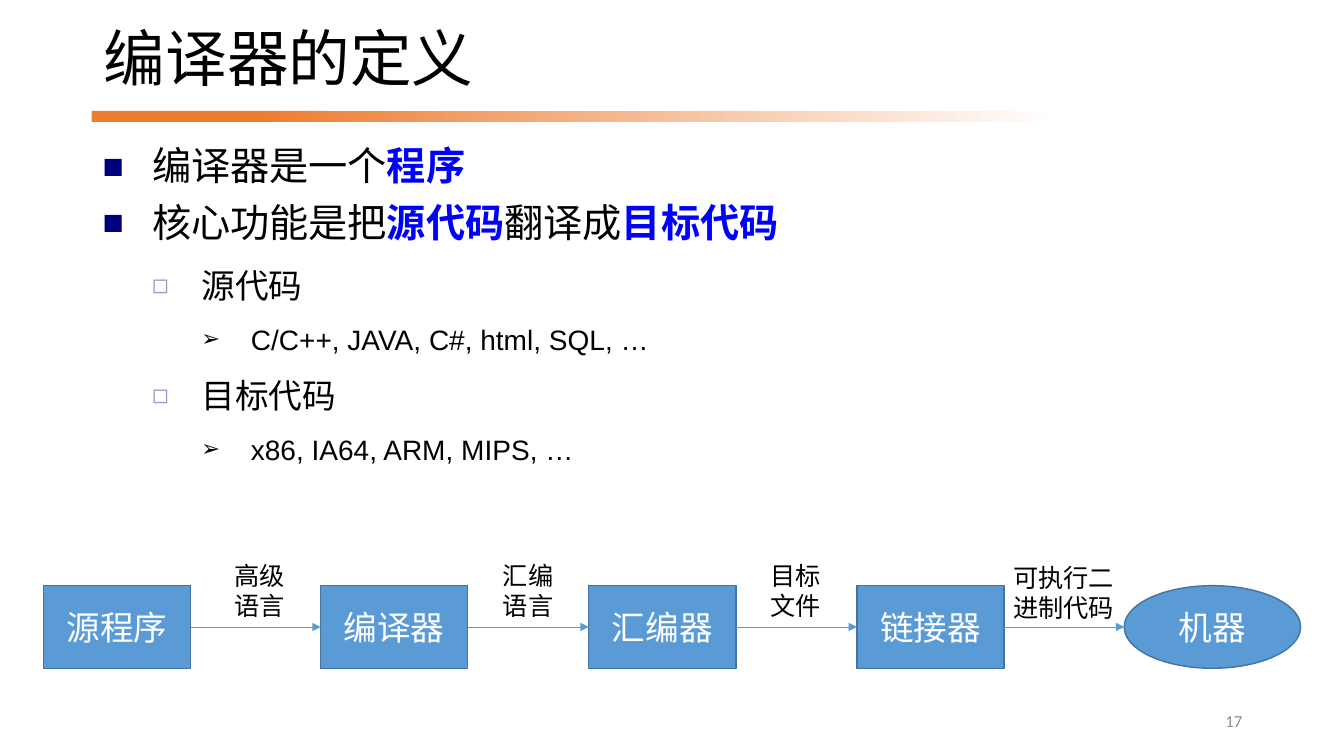
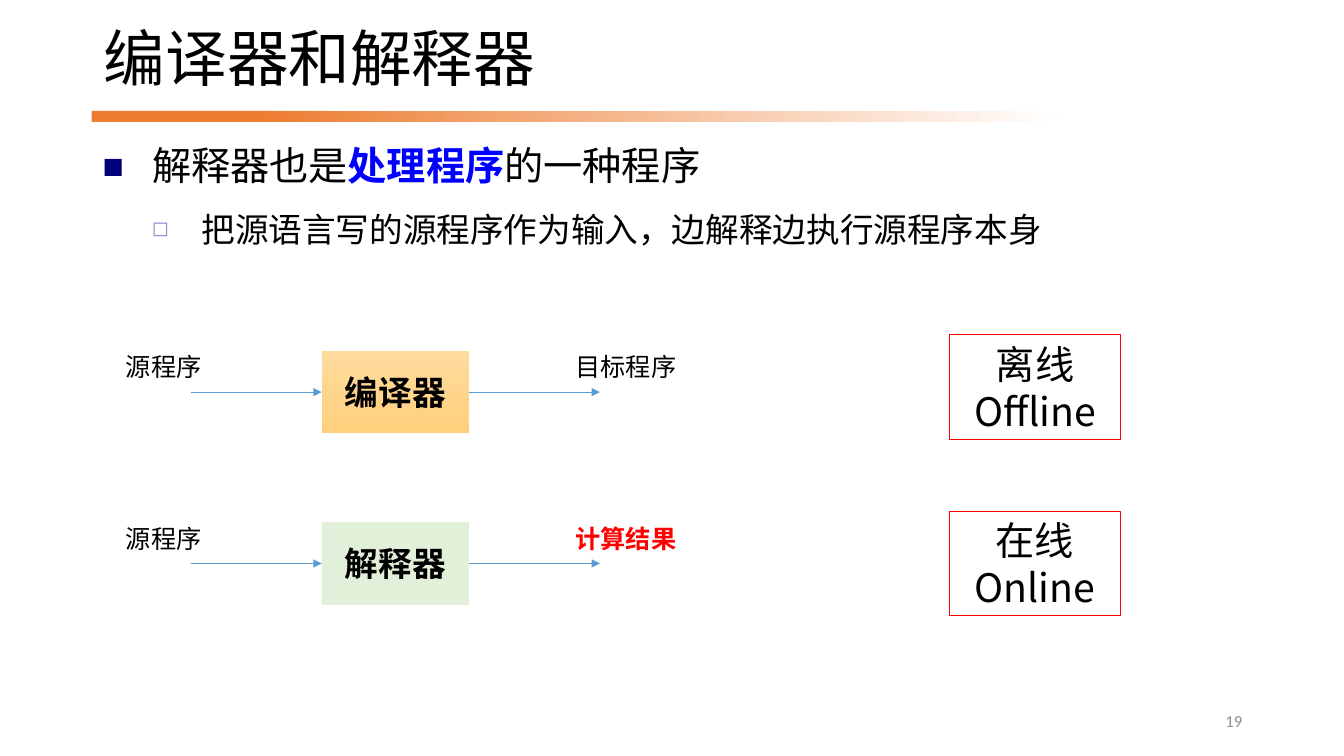
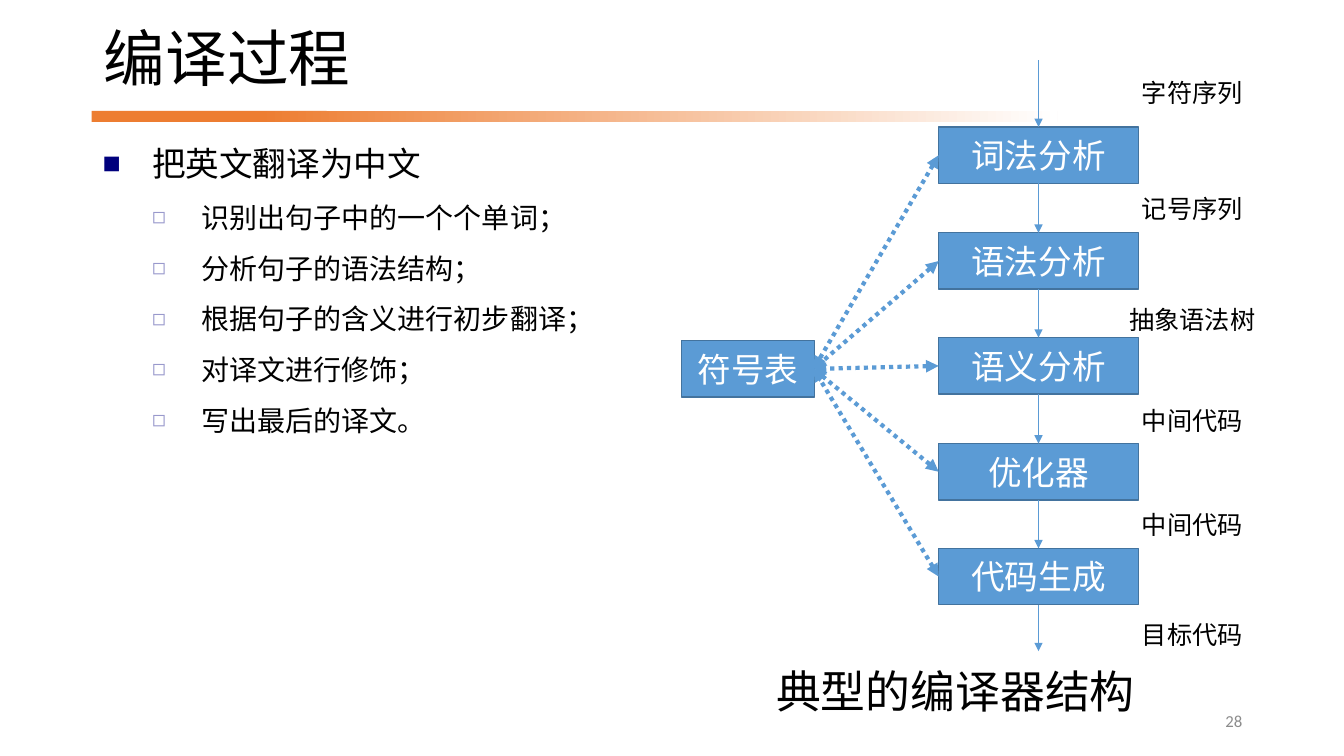
from lxml.etree import SubElement
from pptx import Presentation
from pptx.dml.color import RGBColor
from pptx.enum.dml import MSO_LINE
from pptx.enum.shapes import MSO_CONNECTOR, MSO_SHAPE
from pptx.enum.text import MSO_ANCHOR, MSO_AUTO_SIZE, PP_ALIGN
from pptx.oxml.ns import qn
from pptx.util import Inches, Pt

BLACK = RGBColor(0x00, 0x00, 0x00)
WHITE = RGBColor(0xFF, 0xFF, 0xFF)
GREY = RGBColor(0x8C, 0x8C, 0x8C)
RED = RGBColor(0xFF, 0x00, 0x00)
KEYWORD = RGBColor(0x00, 0x00, 0xFF)
ORANGE = RGBColor(0xED, 0x7D, 0x31)
BLUE = RGBColor(0x5B, 0x9B, 0xD5)
BLUE_EDGE = RGBColor(0x43, 0x73, 0x9E)
GREEN = RGBColor(0xE2, 0xF0, 0xD9)
SAND = (RGBColor(0xFF, 0xDB, 0x9E), RGBColor(0xFF, 0xD0, 0x7C))
CJK = "Noto Sans CJK SC"

BULLETS = [
    ("■", "00007D", 90, 0.9, 10),
    ("◻", "9999CC", 80, 1.3, 5),
    ("➢", None, 80, 1.3, 5),
]
INDENT = 0.49

DEFINITION = [
    (0, "编译器是一个*程序*"),
    (0, "核心功能是把*源代码*翻译成*目标代码*"),
    (1, "源代码"),
    (2, "C/C++, JAVA, C#, html, SQL, …"),
    (1, "目标代码"),
    (2, "x86, IA64, ARM, MIPS, …"),
]
TOOLS = [("源程序", 0.43), ("编译器", 3.18), ("汇编器", 5.84), ("链接器", 8.5)]
MACHINE = ("机器", 11.15)
PRODUCTS = [
    ("高级语言", 2.23, 5.51, 0.7),
    ("汇编语言", 4.89, 5.51, 0.7),
    ("目标文件", 7.54, 5.51, 0.7),
    ("可执行二进制代码", 9.95, 5.53, 1.2),
]

INTERPRETER = [
    (0, "解释器也是*处理程序*的一种程序"),
    (1, "把源语言写的源程序作为输入，边解释边执行源程序本身"),
]
COMPARISON = [
    (3.48, "编译器", SAND, "目标程序", BLACK, 3.32, ["离线 Offline"]),
    (5.18, "解释器", GREEN, "计算结果", RED, 5.07, ["在线", "Online"]),
]

TRANSLATION = [
    (0, "把英文翻译为中文"),
    (1, "识别出句子中的一个个单词；"),
    (1, "分析句子的语法结构；"),
    (1, "根据句子的含义进行初步翻译；"),
    (1, "对译文进行修饰；"),
    (1, "写出最后的译文。"),
]
STAGES = ["词法分析", "语法分析", "语义分析", "优化器", "代码生成"]
STAGE_TOPS = [1.26, 2.31, 3.35, 4.4, 5.44]
STAGE_DATA = [
    ("字符序列", 0.72), ("记号序列", 1.87), ("抽象语法树", 2.97),
    ("中间代码", 3.97), ("中间代码", 5), ("目标代码", 6.09),
]


def style(para, size, color=BLACK, font="Calibri", bold=False, align=PP_ALIGN.LEFT):
    para.alignment = align
    para.font.name = font
    SubElement(para.font._rPr, qn("a:ea"), typeface=CJK)
    para.font.size = Pt(size)
    para.font.bold = bold
    para.font.color.rgb = color


def paint(shape, fill, angle=0):
    if isinstance(fill, RGBColor):
        shape.fill.solid()
        shape.fill.fore_color.rgb = fill
    else:
        shape.fill.gradient()
        shape.fill.gradient_angle = angle
        for stop, color in zip(shape.fill.gradient_stops, fill):
            stop.color.rgb = color


def add_label(page, text, left, top, width, height=0.4, size=18, **look):
    box = page.shapes.add_textbox(*map(Inches, (left, top, width, height)))
    box.text_frame.word_wrap = True
    box.text_frame.text = text
    style(box.text_frame.paragraphs[0], size, **look)
    return box


def add_box(page, lines, left, top, width, height, fill=BLUE, edge=BLUE_EDGE,
            edge_width=1, kind=MSO_SHAPE.RECTANGLE, size=24, **look):
    box = page.shapes.add_shape(kind, *map(Inches, (left, top, width, height)))
    box.shadow.inherit = False
    paint(box, fill, angle=270)
    if edge is None:
        box.line.fill.background()
    else:
        box.line.color.rgb = edge
        box.line.width = Pt(edge_width)
    frame = box.text_frame
    frame.word_wrap = True
    frame.vertical_anchor = MSO_ANCHOR.MIDDLE
    frame.text = "\n".join(lines)
    for para in frame.paragraphs:
        style(para, size, align=PP_ALIGN.CENTER, **look)


def add_arrow(page, start, end, width=0.5, both_ways=False):
    arrow = page.shapes.add_connector(
        MSO_CONNECTOR.STRAIGHT, *map(Inches, (*start, *end)))
    arrow.line.color.rgb = BLUE
    arrow.line.width = Pt(width)
    outline = arrow.element.spPr.find(qn("a:ln"))
    if both_ways:
        arrow.line.dash_style = MSO_LINE.ROUND_DOT
        SubElement(outline, qn("a:headEnd"), type="triangle")
    SubElement(outline, qn("a:tailEnd"), type="triangle")
    SubElement(arrow.element.spPr, qn("a:effectLst"))


def add_bullet(para, level):
    char, color, percent, spacing, before = BULLETS[level]
    para.level = level
    para.line_spacing = spacing
    para.space_before = Pt(before)
    props = para._p.get_or_add_pPr()
    props.set("marL", str(Inches(INDENT * (level + 1))))
    props.set("indent", str(Inches(-INDENT)))
    if color:
        SubElement(SubElement(props, qn("a:buClr")), qn("a:srgbClr"), val=color)
    SubElement(props, qn("a:buSzPct"), val=str(percent * 1000))
    SubElement(props, qn("a:buFont"), typeface="Arial")
    SubElement(props, qn("a:buChar"), char=char)


def add_outline(page, items, width=11.5, sizes=(28, 24, 20), align=PP_ALIGN.LEFT):
    box = page.shapes.add_textbox(*map(Inches, (0.92, 1.41, width, 5.37)))
    frame = box.text_frame
    frame.word_wrap = True
    for index, (level, text) in enumerate(items):
        para = frame.add_paragraph() if index else frame.paragraphs[0]
        add_bullet(para, level)
        style(para, sizes[level], font="Arial", align=align)
        for position, part in enumerate(text.split("*")):
            if part:
                span = para.add_run()
                span.text = part
                if position % 2:
                    span.font.bold = True
                    span.font.color.rgb = KEYWORD


def add_bands(layout, page):
    for left, width, fill in ((0.91, 2.33, ORANGE), (2.57, 7.92, (ORANGE, WHITE))):
        band = page.shapes.add_shape(
            MSO_SHAPE.RECTANGLE, *map(Inches, (left, 1.1, width, 0.11)))
        band.shadow.inherit = False
        paint(band, fill)
        band.line.fill.background()
        layout.shapes.element.append(band.element)


def add_page(deck, heading, number):
    page = deck.slides.add_slide(deck.slide_layouts[5])
    title = page.shapes.title
    title.left, title.top, title.width, title.height = map(
        Inches, (0.93, 0.17, 11.14, 0.89))
    frame = title.text_frame
    frame.text = heading
    frame.auto_size = MSO_AUTO_SIZE.NONE
    frame.vertical_anchor = MSO_ANCHOR.MIDDLE
    frame.paragraphs[0].line_spacing = 0.9
    style(frame.paragraphs[0], 44, font="Arial")
    footer = add_label(page, str(number), 9.42, 6.95, 3, size=12,
                       color=GREY, align=PP_ALIGN.RIGHT)
    footer.text_frame.vertical_anchor = MSO_ANCHOR.MIDDLE
    return page


def draw_definition(page):
    add_outline(page, DEFINITION)
    top, width, height = 5.81, 1.46, 0.82
    middle = top + height / 2
    for name, left in TOOLS:
        add_box(page, [name], left, top, width, height, color=WHITE)
    name, left = MACHINE
    add_box(page, [name], left, top, 1.75, height, kind=MSO_SHAPE.OVAL, color=WHITE)
    stops = TOOLS + [MACHINE]
    for (_, left), (_, following) in zip(stops, stops[1:]):
        add_arrow(page, (left + width, middle), (following, middle))
    for text, left, label_top, label_width in PRODUCTS:
        add_label(page, text, left, label_top, label_width, 0.71)


def draw_comparison(page):
    add_outline(page, INTERPRETER)
    left, width, height, reach = 3.19, 1.46, 0.82, 1.3
    for top, tool, fill, result, color, mode_top, mode in COMPARISON:
        middle, right = top + height / 2, left + width
        add_box(page, [tool], left, top, width, height, fill=fill, edge=None,
                color=BLACK, font=CJK, bold=True)
        add_arrow(page, (left - reach, middle), (left, middle))
        add_arrow(page, (right, middle), (right + reach, middle))
        add_label(page, "源程序", 1.15, top - 0.04, 1.22, font=CJK)
        add_label(page, result, 5.61, top - 0.04, 1.22, font=CJK,
                  color=color, bold=color == RED)
        add_box(page, mode, 9.42, mode_top, 1.69, 1.04, fill=WHITE, edge=RED,
                edge_width=0.75, size=28, color=BLACK, font=CJK)


def draw_process(page):
    add_outline(page, TRANSLATION, 5.75, (24, 20, 20), PP_ALIGN.JUSTIFY)
    left, width, height = 9.31, 1.98, 0.56
    center = left + width / 2
    for stage, top in zip(STAGES, STAGE_TOPS):
        add_box(page, [stage], left, top, width, height, color=WHITE)
    starts = [0.6] + [top + height for top in STAGE_TOPS]
    for start, end in zip(starts, STAGE_TOPS + [6.46]):
        add_arrow(page, (center, start), (center, end))
    add_box(page, ["符号表"], 6.76, 3.38, 1.32, height, color=WHITE)
    for top in STAGE_TOPS:
        add_arrow(page, (left, top + height / 2), (8.07, 3.66), 3, both_ways=True)
    for text, top in STAGE_DATA:
        add_label(page, text, 11, top, 1.65, align=PP_ALIGN.CENTER)
    add_label(page, "典型的编译器结构", 7.6, 6.54, 3.97, 0.64, 32, font=CJK)


PAGES = [
    ("编译器的定义", 17, draw_definition),
    ("编译器和解释器", 19, draw_comparison),
    ("编译过程", 28, draw_process),
]


def main():
    deck = Presentation()
    deck.slide_width, deck.slide_height = Inches(13.33), Inches(7.5)
    for heading, number, draw in PAGES:
        draw(add_page(deck, heading, number))
    add_bands(deck.slide_layouts[5], deck.slides[0])
    deck.save("out.pptx")


if __name__ == "__main__":
    main()
